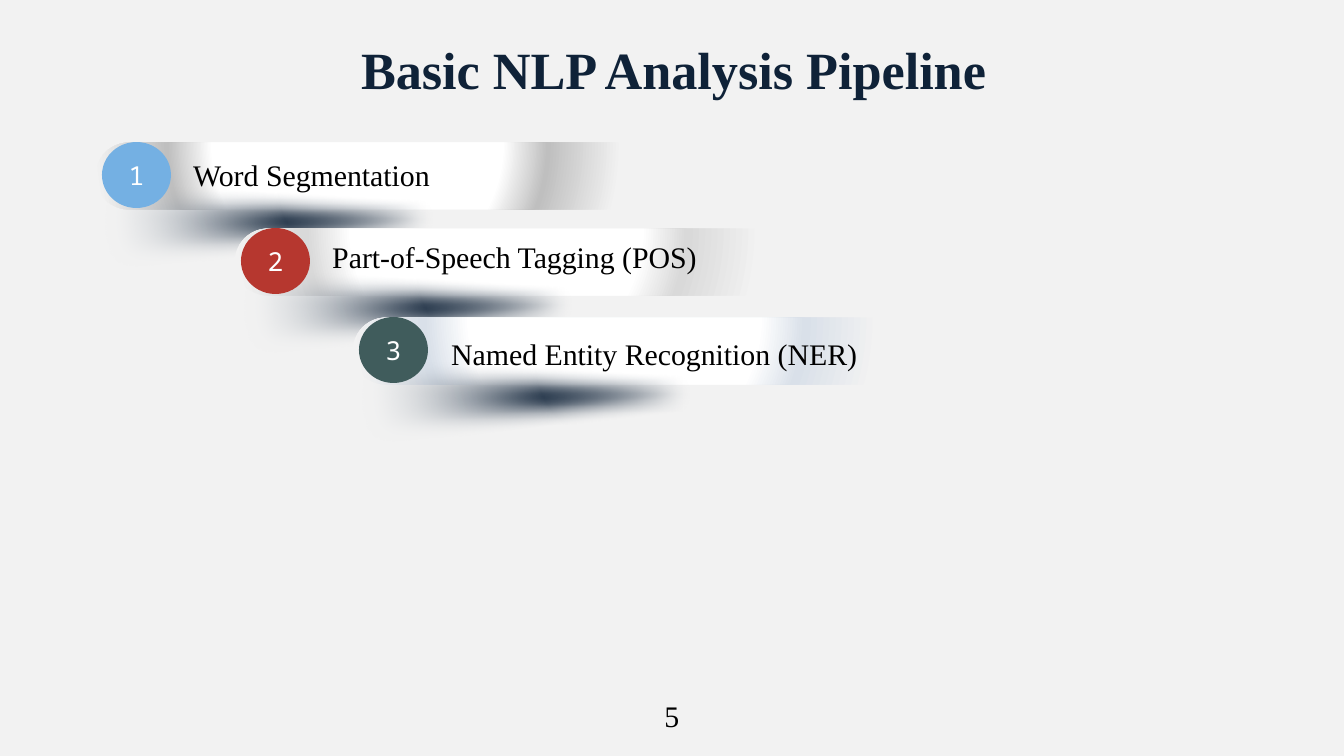
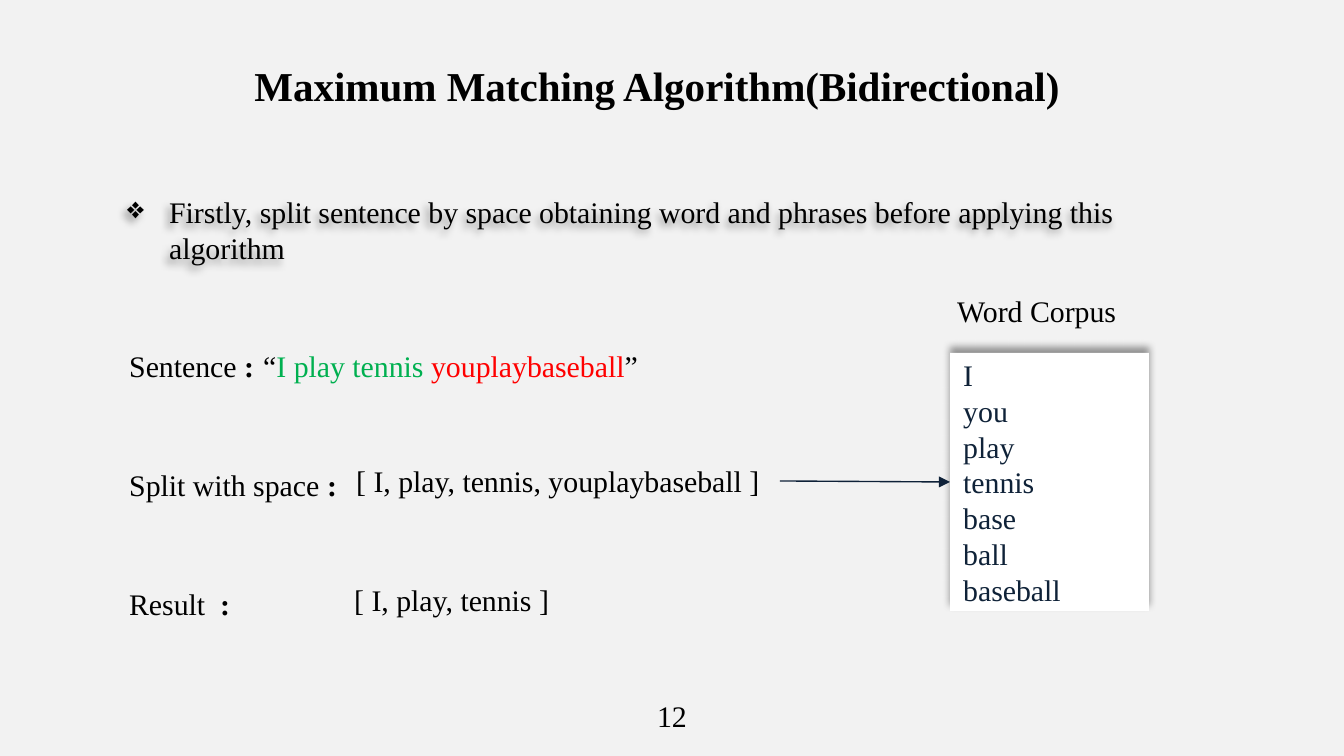
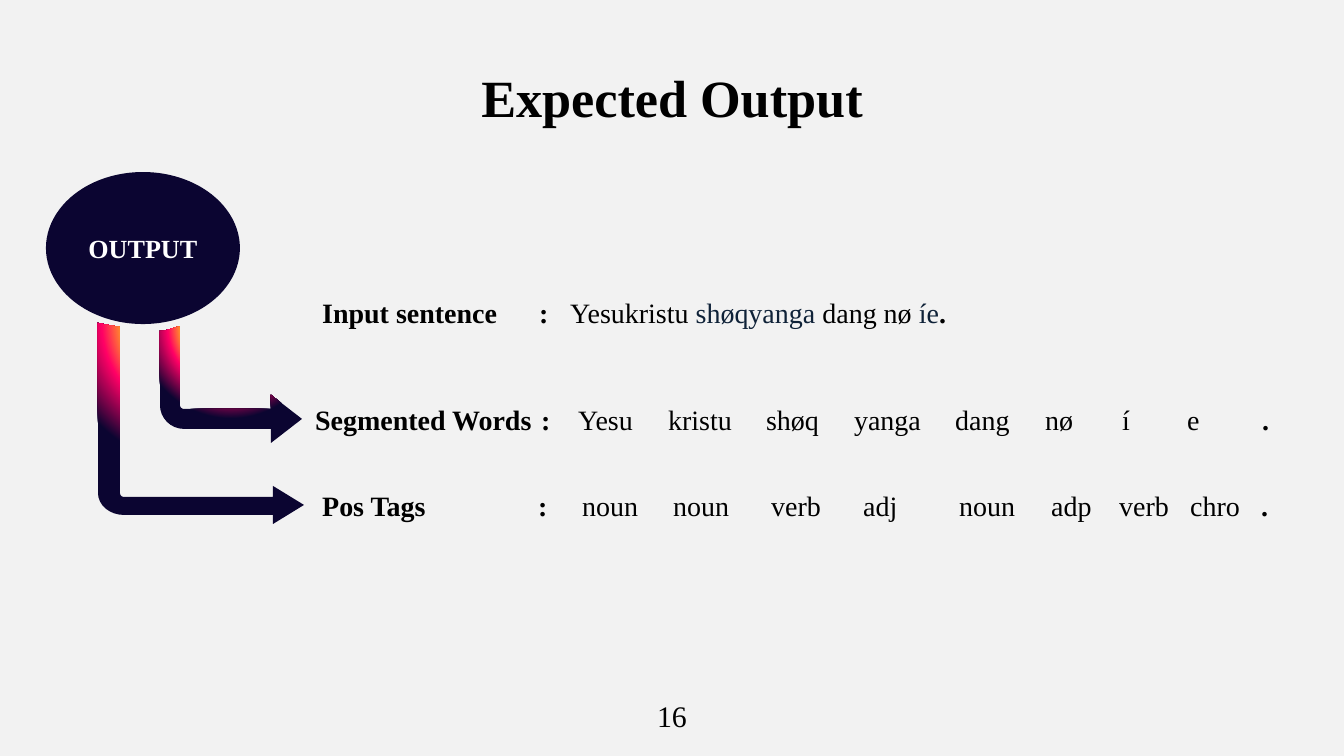
from math import cos, pi, sin

from pptx import Presentation
from pptx.dml.color import RGBColor
from pptx.enum.shapes import MSO_CONNECTOR, MSO_SHAPE as SHAPE
from pptx.enum.text import MSO_ANCHOR as ANCHOR, MSO_AUTO_SIZE as AUTO_SIZE, PP_ALIGN as ALIGN
from pptx.oxml import parse_xml
from pptx.oxml.ns import nsdecls
from pptx.util import Emu, Pt

EMU_PER_PX = 914400 / 134.4
SERIF, MONO = "Times New Roman", "Noto Sans Mono"
NAVY, INDIGO, BLACK, WHITE, PAPER = "0F2238", "0B0531", "000000", "FFFFFF", "F2F2F2"
BOLD = {"bold": True}

# number, circle colour, band tint, circle corner, label box, label
STEPS = [
    ("1", "74B0E3", "BFBFBF", (102, 142), (180, 145, 679, 52), "Word Segmentation"),
    ("2", "B6372F", "D9D9D9", (241, 228), (319, 227, 417, 52), "Part-of-Speech Tagging (POS)"),
    ("3", "405C5C", "D9E0E9", (359, 317), (438, 324, 460, 52), "Named Entity Recognition (NER)"),
]
SHADE_STOPS = [(34, NAVY, 100), (100, WHITE, 0)]
ARROW_STOPS = [(18, "08A867", 100), (45, "FFFF00", 100), (69, "FF0066", 100), (100, INDIGO, 100)]

ADVICE = ("Firstly, split sentence by space obtaining word and phrases "
          "before applying this algorithm")
CORPUS = ["I", "you", "play", "tennis", "base", "ball", "baseball"]
# box, runs, tab stops
MATCHING_LINES = [
    ((116, 341, 582, 50), ["Sentence ", (":", BOLD), "\t“", ("I play tennis ", {"color": "00B050"}),
                           ("youplaybaseball", {"color": "FF0000"}), "”"], [134]),
    ((944, 286, 246, 50), ["Word Corpus"], []),
    ((341, 575, 448, 50), ["[ I, play, tennis ]"], []),
    ((116, 460, 402, 50), ["Split with space ", (":", BOLD)], []),
    ((116, 579, 267, 50), ["Result", ("\t:", BOLD)], [91]),
]

WORDS = "Yesu kristu shøq yanga dang nø í e".split()
TAGS = "noun noun verb adj noun adp verb chro".split()
OUTPUT_LINES = [
    ((302, 396, 1133, 47),
     [("Segmented Words\t:\t", BOLD), "\t".join(WORDS), ("\t.", BOLD)],
     [226, 263, 353, 451, 539, 640, 730, 807, 872, 947]),
    ((309, 482, 1133, 47),
     [("Pos Tags\t:\t", BOLD), "\t".join(TAGS), ("\t.", BOLD)],
     [216, 260, 351, 449, 541, 637, 729, 797, 868, 939]),
    ((309, 289, 1133, 47),
     [("Input sentence\t:\t", BOLD), "Yesukristu ", ("shøqyanga", {"color": NAVY}),
      " dang nø ", ("íe", {"color": NAVY}), (".", BOLD)],
     [217, 248]),
]


def px(length):
    return Emu(round(length * EMU_PER_PX))


def rgb(color):
    return RGBColor.from_string(color)


def drawing(xml):
    """Turn a snippet of DrawingML into an element; its root must contain NS."""
    return parse_xml(xml.replace("NS", nsdecls("a"), 1))


def write(frame, paragraphs, size=16, color=BLACK, font=SERIF, bold=False, align=ALIGN.LEFT,
          anchor=ANCHOR.TOP, spacing=None, after=None, tabs=(), bullet=None, indent=0):
    """Fill a text frame; a paragraph is a list of strings or (string, format) pairs."""
    frame.word_wrap = True
    frame.vertical_anchor = anchor
    for index, runs in enumerate(paragraphs):
        para = frame.add_paragraph() if index else frame.paragraphs[0]
        para.alignment = align
        if spacing:
            para.line_spacing = spacing
        if after:
            para.space_after = Pt(after)
        properties = para._p.get_or_add_pPr()
        if bullet:
            properties.set("marL", str(px(indent)))
            properties.set("indent", str(-px(indent)))
            properties.append(drawing(f'<a:buChar NS char="{bullet}"/>'))
        if tabs:
            stops = "".join(f'<a:tab pos="{px(stop)}" algn="l"/>' for stop in tabs)
            properties.append(drawing(f"<a:tabLst NS>{stops}</a:tabLst>"))
        for run in runs:
            text, change = (run, {}) if isinstance(run, str) else run
            span = para.add_run()
            span.text = text
            span.font.name = font
            span.font.size = Pt(size)
            span.font.bold = change.get("bold", bold)
            span.font.color.rgb = rgb(change.get("color", color))


def add_label(page, at, runs, **style):
    box = page.shapes.add_textbox(*map(px, at))
    write(box.text_frame, [runs], **style)
    return box


def set_title(page, at, text, inset=None, **style):
    title = page.shapes.title
    title.left, title.top, title.width, title.height = map(px, at)
    frame = title.text_frame
    frame.auto_size = AUTO_SIZE.NONE
    if inset:
        frame.margin_left = frame.margin_right = px(inset)
        frame.margin_top = frame.margin_bottom = px(inset)
    write(frame, [[text]], bold=True, **style)


def add_page(deck, number):
    page = deck.slides.add_slide(deck.slide_layouts[5])
    add_label(page, (642, 691, 60, 50), [number], align=ALIGN.CENTER)
    return page


def paint(shape, fill):
    """Fill with a colour, or with a list of gradient stops; drop line and shadow."""
    if isinstance(fill, str):
        shape.fill.solid()
        shape.fill.fore_color.rgb = rgb(fill)
    else:
        stops = "".join(
            f'<a:gs pos="{place * 1000}"><a:srgbClr val="{color}">'
            f'<a:alpha val="{opacity * 1000}"/></a:srgbClr></a:gs>'
            for place, color, opacity in fill)
        shape._element.spPr.insert(2, drawing(
            f'<a:gradFill NS rotWithShape="1"><a:gsLst>{stops}</a:gsLst><a:path path="circle">'
            '<a:fillToRect l="50000" t="-80000" r="50000" b="180000"/></a:path></a:gradFill>'))
    shape.line.fill.background()
    shape.shadow.inherit = False


def add_shape(page, kind, at, fill, rotation=0):
    shape = page.shapes.add_shape(kind, *map(px, at))
    shape.rotation = rotation
    paint(shape, fill)
    return shape


def add_effect(shape, effect):
    properties = shape._element.spPr
    for old in properties.findall("{*}effectLst"):
        properties.remove(old)
    properties.append(drawing(f"<a:effectLst NS>{effect}</a:effectLst>"))


def add_shadow(shape, blur, distance, angle):
    add_effect(shape, f'<a:outerShdw blurRad="{Pt(blur)}" dist="{Pt(distance)}" '
                      f'dir="{angle * 60000}" algn="ctr" rotWithShape="0">'
                      '<a:srgbClr val="000000"><a:alpha val="40000"/></a:srgbClr></a:outerShdw>')


def add_elbow_arrow(page, top_edge, shaft, neck, tip, half_head):
    """Draw an arrow that goes down from top_edge (left to right), then right to tip."""
    left, inner = top_edge[0][0], top_edge[-1][0]
    upper, lower = shaft
    bend = 4
    center_x, center_y = inner + bend, upper - bend
    angles = [step * pi / 16 for step in range(9)]

    def arc(radius_x, radius_y):
        return [(center_x - radius_x * cos(angle), center_y + radius_y * sin(angle))
                for angle in angles]

    tip_x, tip_y = tip
    head = [(neck, upper), (neck, tip_y - half_head), tip, (neck, tip_y + half_head), (neck, lower)]
    outer = arc(center_x - left, lower - center_y)[::-1]
    points = [(px(x), px(y)) for x, y in top_edge + arc(bend, bend) + head + outer]
    builder = page.shapes.build_freeform(*points[0])
    builder.add_line_segments(points[1:], close=True)
    paint(builder.convert_to_shape(), ARROW_STOPS)


def build_pipeline(deck):
    page = add_page(deck, "5")
    set_title(page, (348, 24, 789, 78), "Basic NLP Analysis Pipeline", inset=13, size=28, color=NAVY)
    for number, color, tint, (left, top), label_at, label in STEPS:
        stops = [(55, WHITE, 100), (72, tint, 100), (100, PAPER, 100)]
        band = add_shape(page, SHAPE.ROUND_2_SAME_RECTANGLE,
                         (left + 222, top - 228, 67, 524), stops, 270)
        band.adjustments[0], band.adjustments[1] = 0.5, 0
        shade = add_shape(page, SHAPE.RIGHT_TRIANGLE,
                          (left + 223, top - 173, 97, 551), SHADE_STOPS, 93.5)
        add_effect(shade, f'<a:softEdge rad="{Pt(10)}"/>')
        circle = add_shape(page, SHAPE.OVAL, (left, top, 69, 66), color)
        write(circle.text_frame, [[number]], size=14, font=MONO, color=WHITE,
              align=ALIGN.CENTER, anchor=ANCHOR.MIDDLE)
        add_label(page, label_at, [label], spacing=1.15, after=8)


def build_matching(deck):
    page = add_page(deck, "12")
    set_title(page, (241, 54, 862, 63), "Maximum Matching Algorithm(Bidirectional)", size=22)
    advice = add_label(page, (114, 187, 1106, 86), [ADVICE], bullet="❖", indent=42)
    add_shadow(advice, 4, 3, 135)
    corpus = add_shape(page, SHAPE.RECTANGLE, (950, 353, 199, 258), WHITE)
    add_shadow(corpus, 4, 3, 270)
    write(corpus.text_frame, [[word] for word in CORPUS], color=NAVY, anchor=ANCHOR.MIDDLE)
    for at, runs, tabs in MATCHING_LINES:
        add_label(page, at, runs, tabs=tabs)
    pieces = add_label(page, (343, 456, 437, 50), ["[ I, play, tennis, youplaybaseball ]"])

    arrow = page.shapes.add_connector(MSO_CONNECTOR.STRAIGHT, 0, 0, 0, 0)
    arrow.begin_connect(pieces, 3)
    arrow.end_connect(corpus, 1)
    arrow.line.color.rgb = rgb("0E2138")
    arrow.line.width = Pt(0.75)
    arrow.line._get_or_add_ln().append(drawing('<a:tailEnd NS type="triangle"/>'))
    add_effect(arrow, "")


def build_output(deck):
    page = add_page(deck, "16")
    set_title(page, (332, 59, 680, 77), "Expected Output", size=28, align=ALIGN.CENTER)
    source = add_shape(page, SHAPE.OVAL, (46, 172, 194, 152), INDIGO)
    write(source.text_frame, [["OUTPUT"]], size=14, color=WHITE, bold=True,
          align=ALIGN.CENTER, anchor=ANCHOR.MIDDLE)
    add_elbow_arrow(page, [(160, 331), (164, 331), (177, 327), (180, 327)],
                    shaft=(409, 429), neck=271, tip=(302, 419), half_head=24)
    add_elbow_arrow(page, [(98, 323), (108, 325), (120, 327)],
                    shaft=(497, 515), neck=273, tip=(304, 505), half_head=19)
    for at, runs, tabs in OUTPUT_LINES:
        add_label(page, at, runs, size=15, tabs=tabs)


def main():
    deck = Presentation()
    deck.slide_width, deck.slide_height = px(1344), px(756)
    background = deck.slide_master.background.fill
    background.solid()
    background.fore_color.rgb = rgb(PAPER)
    build_pipeline(deck)
    build_matching(deck)
    build_output(deck)
    deck.save("out.pptx")


if __name__ == "__main__":
    main()
